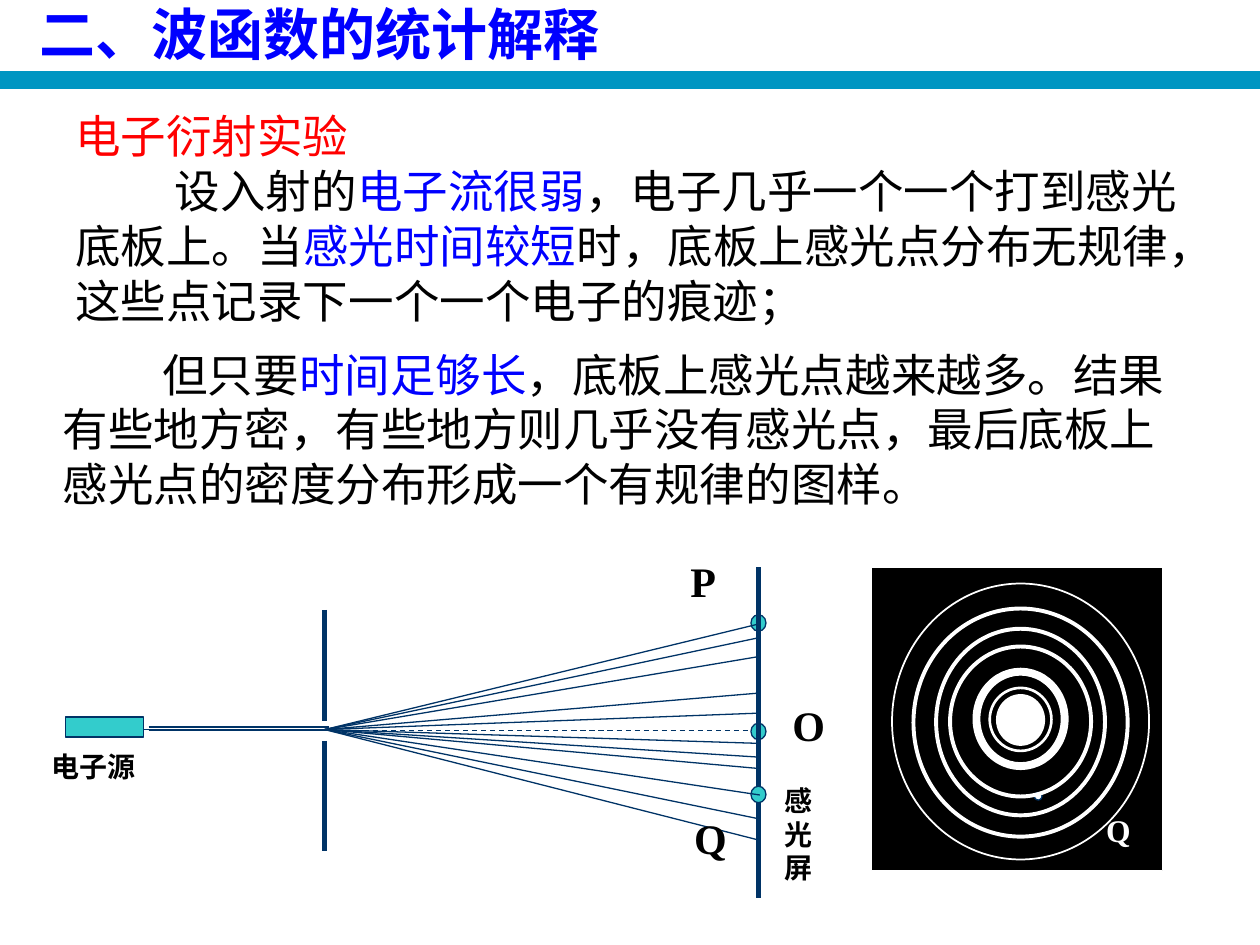
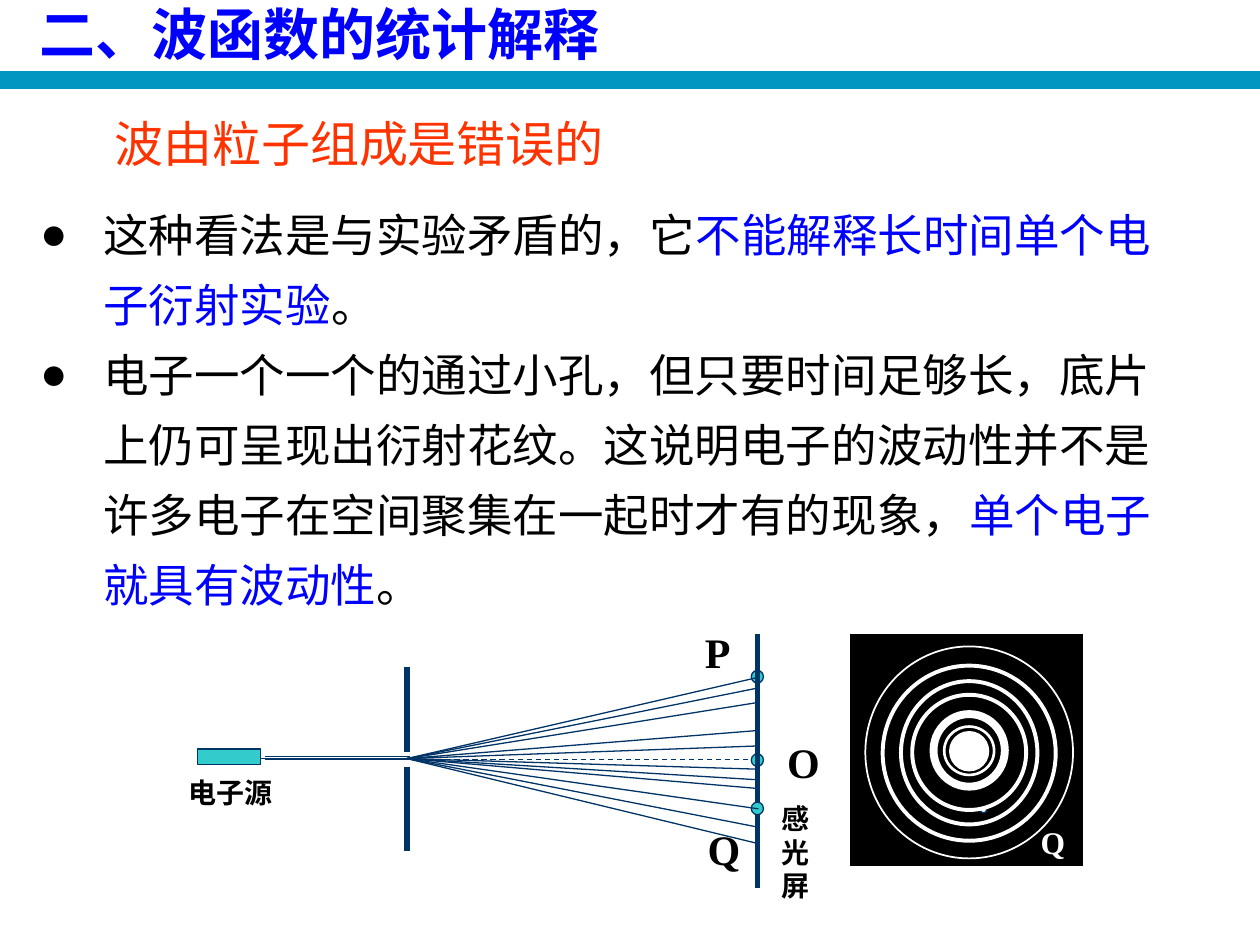
from dataclasses import dataclass

from lxml import etree
from pptx import Presentation
from pptx.dml.color import RGBColor
from pptx.enum.dml import MSO_LINE
from pptx.enum.shapes import MSO_CONNECTOR, MSO_SHAPE
from pptx.enum.text import MSO_ANCHOR, MSO_AUTO_SIZE, PP_ALIGN
from pptx.oxml.ns import qn
from pptx.util import Pt

BLACK = RGBColor(0x00, 0x00, 0x00)
WHITE = RGBColor(0xFF, 0xFF, 0xFF)
BLUE = RGBColor(0x00, 0x00, 0xFF)
RED = RGBColor(0xFF, 0x00, 0x00)
ORANGE = RGBColor(0xFF, 0x33, 0x00)
BAND = RGBColor(0x00, 0x96, 0xC2)
NAVY = RGBColor(0x00, 0x33, 0x66)
TEAL = RGBColor(0x33, 0xCC, 0xCC)

CJK_FONT = "Noto Sans CJK SC"
LABEL_FONT = "Times New Roman"
TITLE = "二、波函数的统计解释"
TITLE_ONLY, TITLE_AND_CONTENT = 5, 1

# Diffraction set-up, in points
BEAM_Y = 416.9
SLIT_X = 185.6
SCREEN_X = 433.4
RAY_ENDS = (356.4, 364.3, 375.1, 396, 407.5, 424.8,
            432.7, 439.2, 454.3, 468, 480.2)
BEAMS = ((85, 417.6), (82.1, 416.9), (85, 415.4), (83.5, 416.9))
BEAM_LENGTH = 103
RING_X = 583.2
# Centre y, width, height, line width
RINGS = ((412.9, 122.4, 130.3, 2.25), (412.6, 96.5, 106.6, 2.25),
         (412.3, 80.6, 85.7, 2.25), (410.8, 50.4, 54, 4.5),
         (411.1, 35.3, 36, 1.5), (412.3, 146.9, 157.7, 1))
# Text, left, top, width, height, size, colour
LABELS = (("O", 445.7, 396, 39.6, 48.2, 24, BLACK),
          ("P", 387.4, 313.9, 44.6, 48.2, 24, BLACK),
          ("Q", 389.5, 460.8, 42.5, 48.2, 24, BLACK),
          ("电子源", 22.3, 424.8, 97.9, 41.8, 16, BLACK),
          ("感光屏", 441.4, 444.2, 37.4, 87.8, 16, BLACK),
          ("Q", 625, 460.1, 43.9, 38.9, 18, WHITE))


@dataclass
class Frame:
    """Scales and shifts the set-up onto a slide."""
    scale_x: float = 1
    scale_y: float = 1
    shift_x: float = 0
    shift_y: float = 0

    def point(self, x, y):
        return (Pt(x * self.scale_x + self.shift_x),
                Pt(y * self.scale_y + self.shift_y))

    def box(self, x, y, width, height):
        return (*self.point(x, y),
                Pt(width * self.scale_x), Pt(height * self.scale_y))


def write_text(holder, paragraphs, size=26, font=CJK_FONT, bold=False,
               spacing=None, margin=0, indents=None, bullet=None,
               anchor=MSO_ANCHOR.TOP, auto_size=MSO_AUTO_SIZE.SHAPE_TO_FIT_TEXT):
    """Fill a shape with paragraphs, each a list of (text, colour) runs."""
    frame = holder.text_frame
    frame.word_wrap = True
    frame.auto_size = auto_size
    frame.vertical_anchor = anchor
    for number, runs in enumerate(paragraphs):
        paragraph = frame.paragraphs[0] if number == 0 else frame.add_paragraph()
        paragraph.alignment = PP_ALIGN.LEFT
        paragraph.space_before = Pt(0)
        if spacing:
            paragraph.line_spacing = spacing
        properties = paragraph._p.get_or_add_pPr()
        properties.set("marL", str(Pt(margin)))
        properties.set("indent", str(Pt(indents[number] if indents else 0)))
        if bullet:
            etree.SubElement(properties, qn("a:buChar"), char=bullet)
        for text, color in runs:
            run = paragraph.add_run()
            run.text = text
            run.font.size = Pt(size)
            run.font.bold = bold
            run.font.name = font
            run.font.color.rgb = color
            if font == CJK_FONT:
                etree.SubElement(run._r.get_or_add_rPr(), qn("a:ea"),
                                 typeface=font)


def add_text(shapes, box, paragraphs, **text_format):
    write_text(shapes.add_textbox(*box), paragraphs, **text_format)


def place(placeholder, left, top, width, height):
    placeholder.left, placeholder.top = Pt(left), Pt(top)
    placeholder.width, placeholder.height = Pt(width), Pt(height)


def add_figure(shapes, kind, box, fill, line, weight=0.75):
    figure = shapes.add_shape(kind, *box)
    figure.shadow.inherit = False
    if fill is None:
        figure.fill.background()
    else:
        figure.fill.solid()
        figure.fill.fore_color.rgb = fill
    figure.line.color.rgb = line
    figure.line.width = Pt(weight)
    return figure


def add_line(shapes, start, end, weight=0.75, dash=None):
    line = shapes.add_connector(MSO_CONNECTOR.STRAIGHT, *start, *end)
    line.line.color.rgb = NAVY
    line.line.width = Pt(weight)
    if dash:
        line.line.dash_style = dash
    etree.SubElement(line._element.spPr, qn("a:effectLst"))


def add_oval(shapes, frame, x, y, width, height, fill, line, weight=0.75):
    """Draw an ellipse around the centre x, y."""
    box = frame.box(x - width / 2, y - height / 2, width, height)
    add_figure(shapes, MSO_SHAPE.OVAL, box, fill, line, weight)


def add_apparatus(shapes, frame):
    """Electron source, slit, rays and photographic screen."""
    point = frame.point
    add_line(shapes, point(187.2, 417.6), point(SCREEN_X, 417.6),
             dash=MSO_LINE.DASH)
    for y in (418, 356):
        add_oval(shapes, frame, SCREEN_X, y, 8.6, 9.4, TEAL, NAVY)
    for x, top, bottom in ((SLIT_X, 348.5, 411.8), (SLIT_X, 423.4, 486),
                           (SCREEN_X, 324, 513.4)):
        add_line(shapes, point(x, top), point(x, bottom), weight=3)
    add_figure(shapes, MSO_SHAPE.RECTANGLE, frame.box(37.4, 409.7, 44.6, 11.5),
               TEAL, NAVY)
    add_oval(shapes, frame, SCREEN_X, 454, 8.6, 9.4, TEAL, NAVY)
    for x, y in BEAMS:
        add_line(shapes, point(x, y), point(x + BEAM_LENGTH, y))
    for y in RAY_ENDS:
        add_line(shapes, point(SLIT_X, BEAM_Y), point(SCREEN_X + 0.8, y))


def add_ring_pattern(shapes, frame):
    """Diffraction rings on the developed plate."""
    add_figure(shapes, MSO_SHAPE.RECTANGLE,
               frame.box(498.2, 324, 166.3, 173.5), BLACK, WHITE)
    add_oval(shapes, frame, 593.3, 455, 4.3, 4.3, WHITE, NAVY)
    for y, width, height, weight in RINGS:
        add_oval(shapes, frame, RING_X, y, width, height, None, WHITE, weight)
    add_oval(shapes, frame, RING_X, 411.4, 26.6, 28.1, WHITE, WHITE, 1.5)


def add_diffraction(slide, frame):
    shapes = slide.shapes.add_group_shape().shapes
    add_apparatus(shapes, frame)
    add_ring_pattern(shapes, frame)
    for text, left, top, width, height, size, color in LABELS:
        add_text(shapes, frame.box(left, top, width, height), [[(text, color)]],
                 size=size, font=LABEL_FONT, bold=True)


def add_master_band(slide):
    """Draw the band under the title and move it to the slide master."""
    box = (Pt(-1.4), Pt(40.3), Pt(722.8), Pt(10.8))
    band = add_figure(slide.shapes, MSO_SHAPE.RECTANGLE, box, BAND, WHITE, 1)
    band.element.nvSpPr.cNvPr.set("id", "20")
    slide.slide_layout.slide_master.shapes.element.append(band.element)


def add_titled_slide(deck, layout):
    slide = deck.slides.add_slide(deck.slide_layouts[layout])
    place(slide.shapes.title, 15.1, 0, 369.4, 43.2)
    write_text(slide.shapes.title, [[(TITLE, BLUE)]], size=32, bold=True,
               spacing=0.9, anchor=MSO_ANCHOR.MIDDLE,
               auto_size=MSO_AUTO_SIZE.NONE)
    return slide


def add_experiment_slide(deck):
    slide = add_titled_slide(deck, TITLE_ONLY)
    add_master_band(slide)
    weak_beam = [
        [("电子衍射实验", RED)],
        [("设入射的", BLACK), ("电子流很弱", BLUE),
         ("，电子几乎一个一个打到感光底板上。当", BLACK),
         ("感光时间较短", BLUE),
         ("时，底板上感光点分布无规律，这些点记录下一个一个电子的痕迹；", BLACK)],
    ]
    long_exposure = [
        [("但只要", BLACK), ("时间足够长", BLUE),
         ("，底板上感光点越来越多。结果有些地方密，有些地方则几乎没有感光点，"
          "最后底板上感光点的密度分布形成一个有规律的图样。", BLACK)],
    ]
    add_text(slide.shapes, (Pt(36), Pt(58.3), Pt(644.4), Pt(133.2)), weak_beam,
             spacing=Pt(31.3), indents=(0, 56.9))
    add_diffraction(slide, Frame())
    add_text(slide.shapes, (Pt(28.8), Pt(194.4), Pt(658.1), Pt(101.5)),
             long_exposure, spacing=Pt(31.3), indents=(56.9,))


def add_conclusion_slide(deck):
    slide = add_titled_slide(deck, TITLE_AND_CONTENT)
    add_text(slide.shapes, (Pt(58.3), Pt(54.7), Pt(326.2), Pt(47.5)),
             [[("波由粒子组成是错误的", ORANGE)]], size=28, spacing=Pt(40))
    add_diffraction(slide, Frame(0.808, 0.768, 82.6, 113.3))
    reasons = [
        [("这种看法是与实验矛盾的，它", BLACK),
         ("不能解释长时间单个电子衍射实验", BLUE), ("。", BLACK)],
        [("电子一个一个的通过小孔，但只要时间足够长，底片上仍可呈现出衍射花纹。"
          "这说明电子的波动性并不是许多电子在空间聚集在一起时才有的现象，", BLACK),
         ("单个电子就具有波动性", BLUE), ("。", BLACK)],
    ]
    body = slide.placeholders[1]
    place(body, 15.8, 105.8, 656.6, 249.8)
    write_text(body, reasons, spacing=Pt(40), margin=36, indents=(-36, -36),
               bullet="●")


def main():
    deck = Presentation()
    deck.slide_width, deck.slide_height = Pt(720), Pt(540)
    add_experiment_slide(deck)
    add_conclusion_slide(deck)
    deck.save("out.pptx")


if __name__ == "__main__":
    main()
